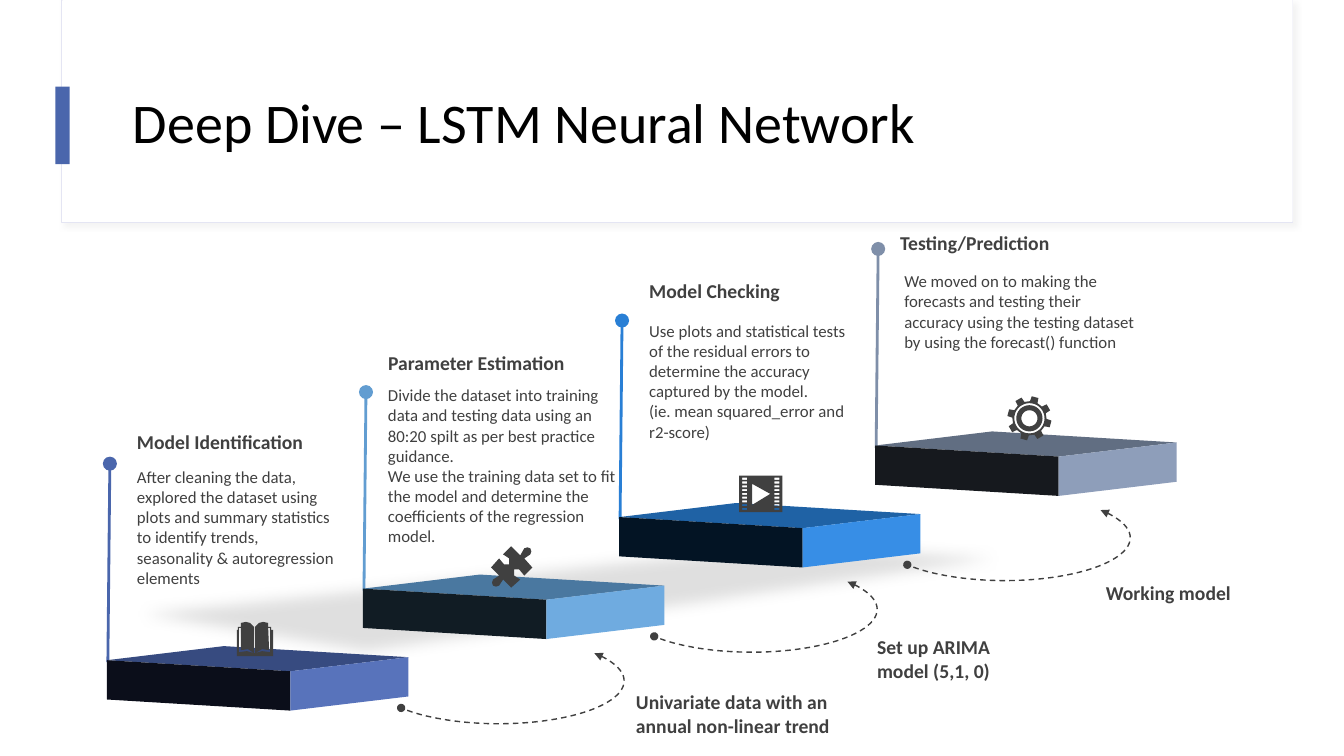
from dataclasses import dataclass
from math import cos, radians, sin

from lxml.etree import SubElement
from pptx import Presentation
from pptx.dml.color import RGBColor
from pptx.enum.dml import MSO_LINE
from pptx.enum.shapes import MSO_CONNECTOR, MSO_SHAPE
from pptx.enum.text import MSO_ANCHOR
from pptx.oxml.ns import qn
from pptx.util import Pt

PX = 9144  # EMU per px, 100 px to the inch
FONT = "Calibri"
COLORS = {
    "white": "FFFFFF", "black": "000000", "text": "404040", "accent": "4A66AC",
    "border": "E4E5F3", "panel_shadow": "D9D9D9", "ground": "808080",
}
STEP_X, STEP_Y = 254, -71  # from one stair to the next
ARC_STEP_X = 251

Point = tuple[float, float]
Box = tuple[int, int, int, int]


@dataclass
class Stair:
    pin: str
    top: str
    front: str
    side: str
    heading: str
    heading_box: Box
    body: str
    body_box: Box


@dataclass
class Outcome:
    text: str
    box: Box


STAIRS = [
    Stair("4A66AC", "374B80", "0B0E1A", "5873BB",
          "Model Identification", (126, 422, 219, 41),
          "After cleaning the data, explored the dataset using plots and summary statistics "
          "to identify trends, seasonality & autoregression elements", (126, 458, 219, 161)),
    Stair("629DD1", "4A78A0", "111C24", "6FABE0",
          "Parameter Estimation", (375, 343, 259, 67),
          "Divide the dataset into training data and testing data using an 80:20 spilt "
          "as per best practice guidance.\nWe use the training data set to fit the model and "
          "determine the coefficients of the regression model.", (375, 377, 246, 172)),
    Stair("297FD5", "1F62A5", "031424", "378EE6",
          "Model Checking", (634, 272, 219, 34),
          "Use plots and statistical tests of the residual errors to determine the accuracy "
          "captured by the model.\n(ie. mean squared_error and r2-score)", (634, 313, 219, 131)),
    Stair("7F8FA9", "616E82", "16191E", "8E9EBA",
          "Testing/Prediction", (883, 224, 325, 41),
          "We moved on to making the forecasts and testing their accuracy using the testing "
          "dataset by using the forecast() function", (887, 264, 249, 134)),
]
OUTCOMES = [
    Outcome("Univariate data with an annual non-linear trend", (621, 680, 254, 57)),
    Outcome("Set up ARIMA model (5,1, 0)", (860, 625, 181, 57)),
    Outcome("Working model", (1087, 571, 150, 57)),
]

# Faces of the lowest stair
TOP = [(106, 655), (222, 641), (405, 652), (288, 666)]
FRONT = [(106, 655), (288, 666), (288, 705), (106, 694)]
SIDE = [(288, 666), (405, 652), (405, 691), (288, 705)]
GROUND = [(31, 605), (346, 657), (372, 658), (1121, 549), (781, 526)]

# Icon outlines
BOOK = [
    (252, 648), (253, 648), (260, 646), (268, 647), (268, 623), (266, 623), (267, 645),
    (260, 644), (253, 648), (253, 622), (257, 618), (261, 617), (266, 618), (266, 622),
    (269, 622), (269, 625), (271, 625), (271, 651), (235, 651), (235, 625), (236, 625),
    (236, 622), (239, 622), (239, 618), (244, 617), (248, 618), (252, 622), (252, 648),
    (246, 644), (239, 645), (239, 623), (237, 623), (237, 647), (245, 646),
]
PUZZLE = [
    (526, 544), (527, 547), (526, 550), (520, 554), (528, 563), (520, 571), (515, 565),
    (510, 565), (510, 571), (516, 575), (507, 583), (499, 575), (495, 581), (492, 582),
    (489, 581), (488, 578), (489, 575), (495, 571), (487, 563), (495, 554), (500, 560),
    (505, 560), (505, 554), (499, 550), (507, 542), (516, 551), (520, 544), (523, 543),
]


def rgb(color: str) -> RGBColor:
    return RGBColor.from_string(COLORS.get(color, color))


def rectangle(x: float, y: float, w: float, h: float) -> list[Point]:
    return [(x, y), (x + w, y), (x + w, y + h), (x, y + h)]


def polar(radius: float, degrees: float) -> Point:
    return 1021 + radius * cos(radians(degrees)), 415 + radius * sin(radians(degrees))


def film() -> list[list[Point]]:
    holes = [rectangle(x, 474 + 3.75 * i, 5, 2) for x in (736, 768) for i in range(9)]
    return [rectangle(733, 472, 43, 36), [(746, 480), (746, 501), (764, 490)], *holes]


def gear() -> list[list[Point]]:
    teeth = [polar(r, 15 + 45 * i + a) for i in range(8)
             for r, a in ((17, -13), (22, -9), (22, 9), (17, 13))]
    rings = [[polar(r, a) for a in range(0, 360, 10)] for r in (15, 13, 8)]
    return [teeth, *rings]


def paint(s, fill: str) -> None:
    s.shadow.inherit = False
    s.fill.solid()
    s.fill.fore_color.rgb = rgb(fill)
    s.line.fill.background()


def add_rectangle(slide, box: Box, fill: str):
    s = slide.shapes.add_shape(MSO_SHAPE.RECTANGLE, *(v * PX for v in box))
    paint(s, fill)
    return s


def add_outline(slide, contours: list[list[Point]], fill: str):
    emu = [[(x * PX, y * PX) for x, y in contour] for contour in contours]
    builder = slide.shapes.build_freeform(*emu[0][0], scale=1.0)
    for i, contour in enumerate(emu):
        if i:
            builder.move_to(*contour[0])
        builder.add_line_segments(contour[1:], close=True)
    s = builder.convert_to_shape()
    paint(s, fill)
    return s


def add_text(slide, box: Box, text: str, size: int, bold: bool = False, color: str = "text"):
    tf = slide.shapes.add_textbox(*(v * PX for v in box)).text_frame
    tf.word_wrap = True
    tf.text = text
    for p in tf.paragraphs:
        for r in p.runs:
            r.font.name, r.font.size, r.font.bold = FONT, Pt(size), bold
            r.font.color.rgb = rgb(color)
    return tf


def add_end(s, tag: str, kind: str, size: str = "med") -> None:
    SubElement(s.line._get_or_add_ln(), qn(tag), type=kind, w=size, len=size)


def set_alpha(color, percent: int) -> None:
    SubElement(color, qn("a:alpha"), val=str(percent * 1000))


def add_header(slide) -> None:
    s = add_rectangle(slide, (61, 0, 1221, 221), "white")
    s.line.color.rgb = rgb("border")
    s.line.width = Pt(0.75)
    effects = s._element.spPr.find(qn("a:effectLst"))
    shadow = SubElement(effects, qn("a:outerShdw"), blurRad=str(Pt(4)), dist=str(Pt(3)),
                        dir="2700000", algn="tl", rotWithShape="0")
    set_alpha(SubElement(shadow, qn("a:srgbClr"), val=COLORS["panel_shadow"]), 30)
    add_rectangle(slide, (62, 0, 1220, 220), "white")
    add_rectangle(slide, (55, 86, 14, 77), "accent")
    tf = add_text(slide, (122, 60, 1112, 129), "Deep Dive – LSTM Neural Network", 40, color="black")
    tf.vertical_anchor = MSO_ANCHOR.MIDDLE
    tf.paragraphs[0].line_spacing = 0.9


def add_pin(slide, index: int, color: str) -> None:
    x, y = 107 + STEP_X * index, 657 + STEP_Y * index
    s = slide.shapes.add_connector(MSO_CONNECTOR.STRAIGHT, x * PX, y * PX,
                                   (x + 2) * PX, (y - 197) * PX)
    s.line.color.rgb = rgb(color)
    s.line.width = Pt(2)
    add_end(s, "a:tailEnd", "oval", "lg")
    SubElement(s._element.spPr, qn("a:effectLst"))


def add_ground_shadow(slide) -> None:
    s = add_outline(slide, [GROUND], "ground")
    set_alpha(s._element.spPr.find(qn("a:solidFill"))[0], 25)
    SubElement(s._element.spPr.find(qn("a:effectLst")), qn("a:softEdge"), rad=str(Pt(10)))


def add_arc(slide, index: int) -> None:
    x, y = 370 + ARC_STEP_X * index, 633 + STEP_Y * index
    s = slide.shapes.add_shape(MSO_SHAPE.ARC, x * PX, y * PX, 249 * PX, 85 * PX)
    s.shadow.inherit = False
    s.adjustments[0], s.adjustments[1] = 206.33, 98.7
    s.fill.background()
    s.line.color.rgb = rgb("text")
    s.line.width = Pt(1)
    s.line.dash_style = MSO_LINE.DASH
    add_end(s, "a:headEnd", "triangle")
    add_end(s, "a:tailEnd", "oval")


def main() -> None:
    prs = Presentation()
    prs.slide_width, prs.slide_height = 1333 * PX, 750 * PX
    slide = prs.slides.add_slide(prs.slide_layouts[6])
    add_header(slide)

    # Staircase
    for i, stair in enumerate(STAIRS):
        add_pin(slide, i, stair.pin)
    add_ground_shadow(slide)
    for i, stair in enumerate(STAIRS):
        for face, color in ((TOP, stair.top), (FRONT, stair.front), (SIDE, stair.side)):
            add_outline(slide, [[(x + STEP_X * i, y + STEP_Y * i) for x, y in face]], color)
        add_text(slide, stair.body_box, stair.body, 12)
        add_text(slide, stair.heading_box, stair.heading, 14, bold=True)

    # Arrows and what each step leads to
    for i, outcome in enumerate(OUTCOMES):
        add_arc(slide, i)
        add_text(slide, outcome.box, outcome.text, 14, bold=True)

    # Icons
    for contours in ([BOOK], [PUZZLE], film(), gear()):
        add_outline(slide, contours, "text")
    prs.save("out.pptx")


if __name__ == "__main__":
    main()
